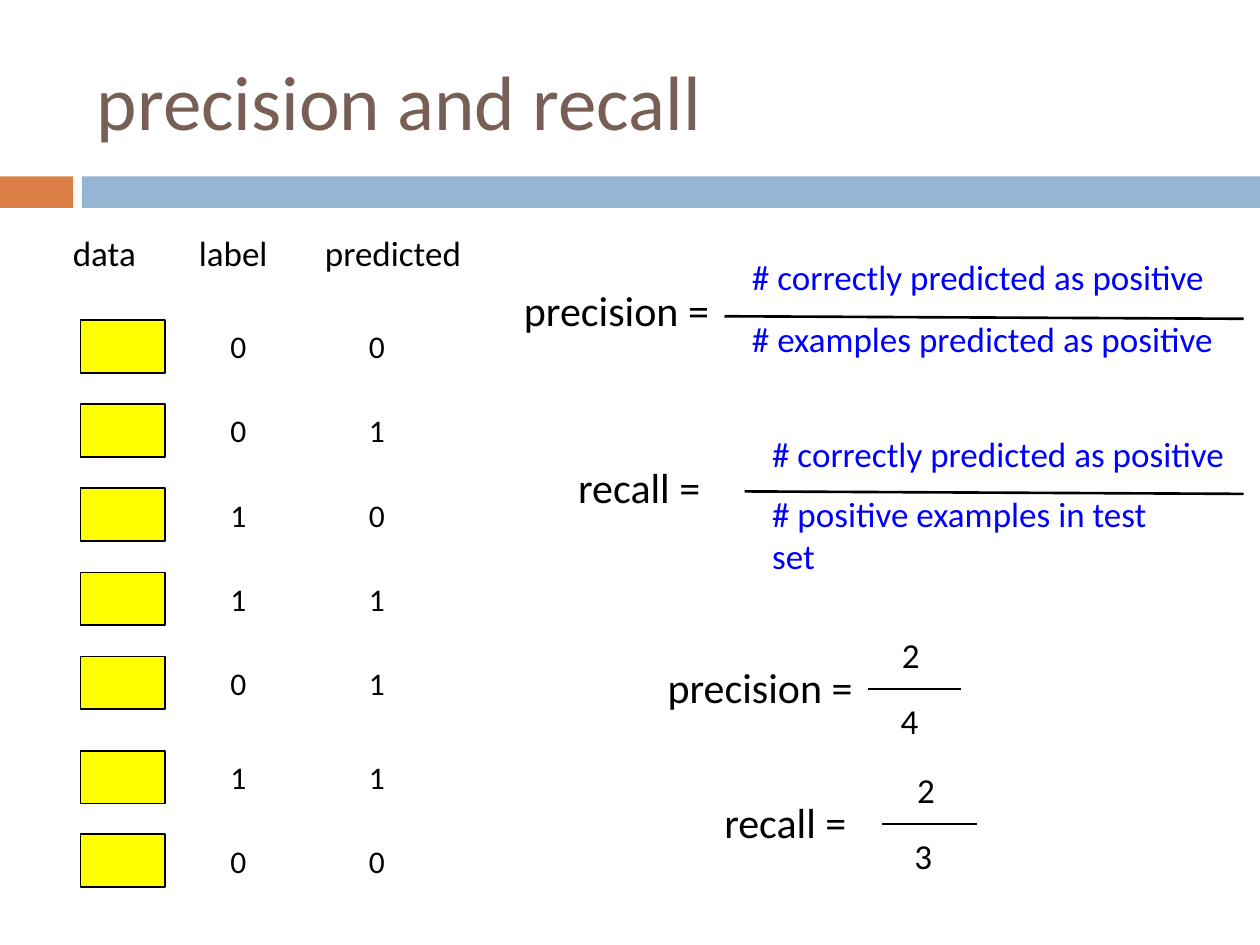
"""Build the precision and recall slide with python-pptx."""
from pptx import Presentation
from pptx.dml.color import RGBColor
from pptx.enum import shapes, text
from pptx.oxml.ns import qn
from pptx.util import Inches, Pt
from lxml import etree

BLACK = RGBColor(0x00, 0x00, 0x00)
BLUE = RGBColor(0x00, 0x00, 0xFF)
YELLOW = RGBColor(0xFF, 0xFF, 0x00)
ORANGE = RGBColor(0xDD, 0x80, 0x47)
SKY = RGBColor(0x94, 0xB6, 0xD2)
BROWN = RGBColor(0x77, 0x5F, 0x55)

HEADERS = [("data", 0.48, 0.74), ("label", 1.48, 0.77), ("predicted", 2.48, 1.29)]
EXAMPLES = [("0", "0"), ("0", "1"), ("1", "0"), ("1", "1"),
            ("0", "1"), ("1", "1"), ("0", "0")]
ROW_TOPS = [2.54 + 0.667 * i for i in range(5)] + [5.96, 6.62]
CORRECT = "# correctly predicted as positive"


def add_text(s, words, x, y, w, h, size=20, color=BLACK, wrap=False,
             anchor=text.MSO_ANCHOR.TOP):
    """Add a one-run text box."""
    tf = s.shapes.add_textbox(Inches(x), Inches(y), Inches(w), Inches(h)).text_frame
    tf.word_wrap = wrap
    tf.vertical_anchor = anchor
    r = tf.paragraphs[0].add_run()
    r.text = words
    r.font.name = "Calibri"
    r.font.size = Pt(size)
    r.font.color.rgb = color


def add_rect(s, x, y, w, h, fill, outlined=False):
    """Add a flat rectangle, with a thin black outline on request."""
    sp = s.shapes.add_shape(shapes.MSO_SHAPE.RECTANGLE,
                            Inches(x), Inches(y), Inches(w), Inches(h))
    sp.shadow.inherit = False
    sp.fill.solid()
    sp.fill.fore_color.rgb = fill
    if outlined:
        sp.line.color.rgb = BLACK
        sp.line.width = Pt(0.75)
    else:
        sp.line.fill.background()


def add_line(s, x1, y1, x2, y2):
    """Add a black fraction bar."""
    c = s.shapes.add_connector(shapes.MSO_CONNECTOR.STRAIGHT, Inches(x1),
                               Inches(y1), Inches(x2), Inches(y2))
    c.line.color.rgb = BLACK
    c.line.width = Pt(1.5)
    etree.SubElement(c._element.spPr, qn("a:effectLst"))


def add_fraction(s, name, bar, top, bottom, color=BLACK):
    """Add a measure name, a bar and the terms above and below it."""
    add_text(s, *name, 0.5, size=24)
    add_line(s, *bar)
    add_text(s, *top, 0.44, color=color)
    add_text(s, *bottom, 0.44, color=color, wrap=bottom[0].endswith("test set"))


def add_examples(s):
    """Add the headed columns of data, labels and predictions."""
    for words, x, w in HEADERS:
        add_text(s, words, x, 1.79, w, 0.44)
    for y, (label, predicted) in zip(ROW_TOPS, EXAMPLES):
        add_rect(s, 0.64, y, 0.67, 0.42, YELLOW, outlined=True)
        add_text(s, label, 1.73, y + 0.01, 0.34, 0.4, size=18)
        add_text(s, predicted, 2.83, y + 0.01, 0.34, 0.4, size=18)


def main():
    """Build and save the slide."""
    prs = Presentation()
    prs.slide_width, prs.slide_height = Inches(10), Inches(7.5)
    s = prs.slides.add_slide(prs.slide_layouts[6])
    add_rect(s, 0, 1.4, 0.58, 0.25, ORANGE)
    add_rect(s, 0.65, 1.4, 9.35, 0.25, SKY)
    add_text(s, "precision and recall", 0.67, 0.25, 8.92, 1.08, size=44,
             color=BROWN, wrap=True, anchor=text.MSO_ANCHOR.MIDDLE)
    add_examples(s)
    add_fraction(s, ("precision =", 4.06, 2.21, 1.69), (5.75, 2.51, 9.87, 2.53),
                 (CORRECT, 5.87, 1.98, 3.84),
                 ("# examples predicted as positive", 5.87, 2.47, 3.94), BLUE)
    add_fraction(s, ("recall =", 4.49, 3.61, 1.26), (5.91, 3.9, 9.87, 3.92),
                 (CORRECT, 6.03, 3.38, 3.84),
                 ("# positive examples in test set", 6.03, 3.86, 3.56), BLUE)
    add_fraction(s, ("precision =", 5.2, 5.2, 1.69), (6.89, 5.47, 7.63, 5.47),
                 ("2", 7.06, 4.98, 0.36), ("4", 7.05, 5.5, 0.36))
    add_fraction(s, ("recall =", 5.65, 6.27, 1.26), (7, 6.54, 7.75, 6.54),
                 ("2", 7.18, 6.05, 0.36), ("3", 7.16, 6.57, 0.36))
    prs.save("out.pptx")


if __name__ == "__main__":
    main()
